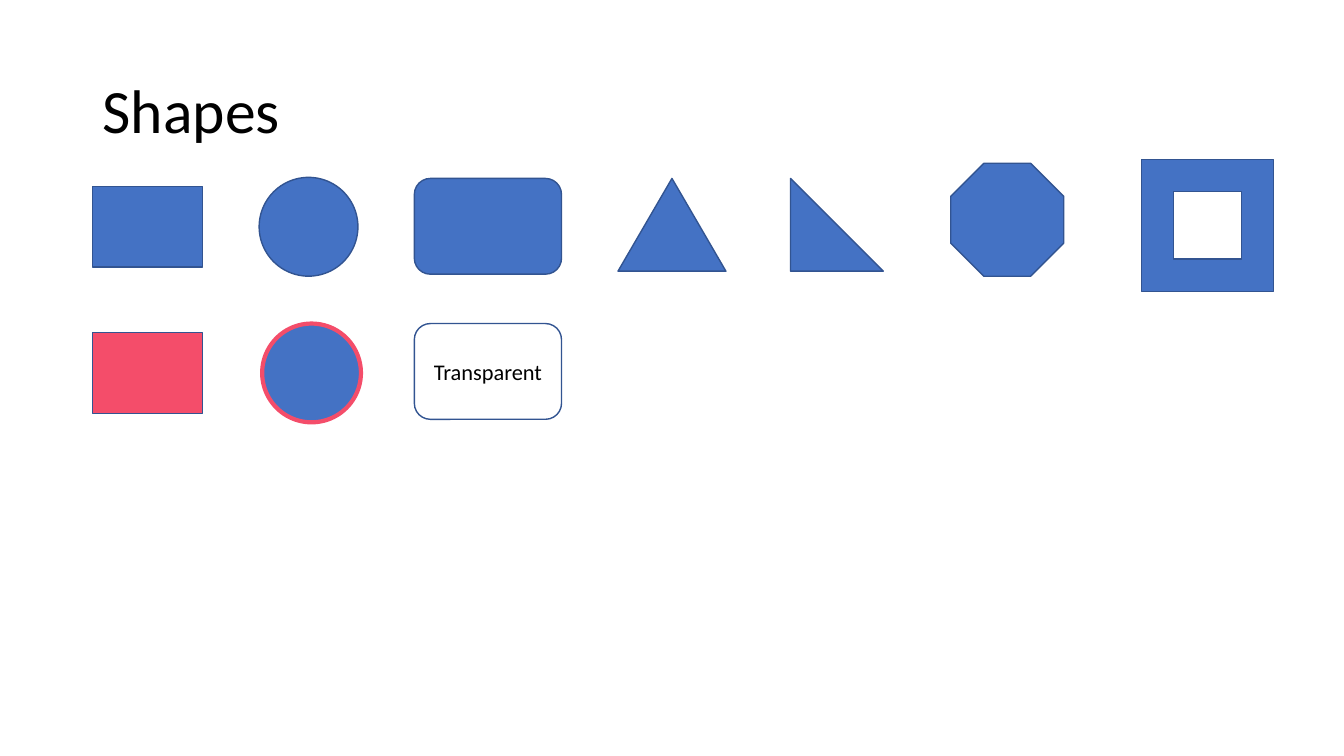
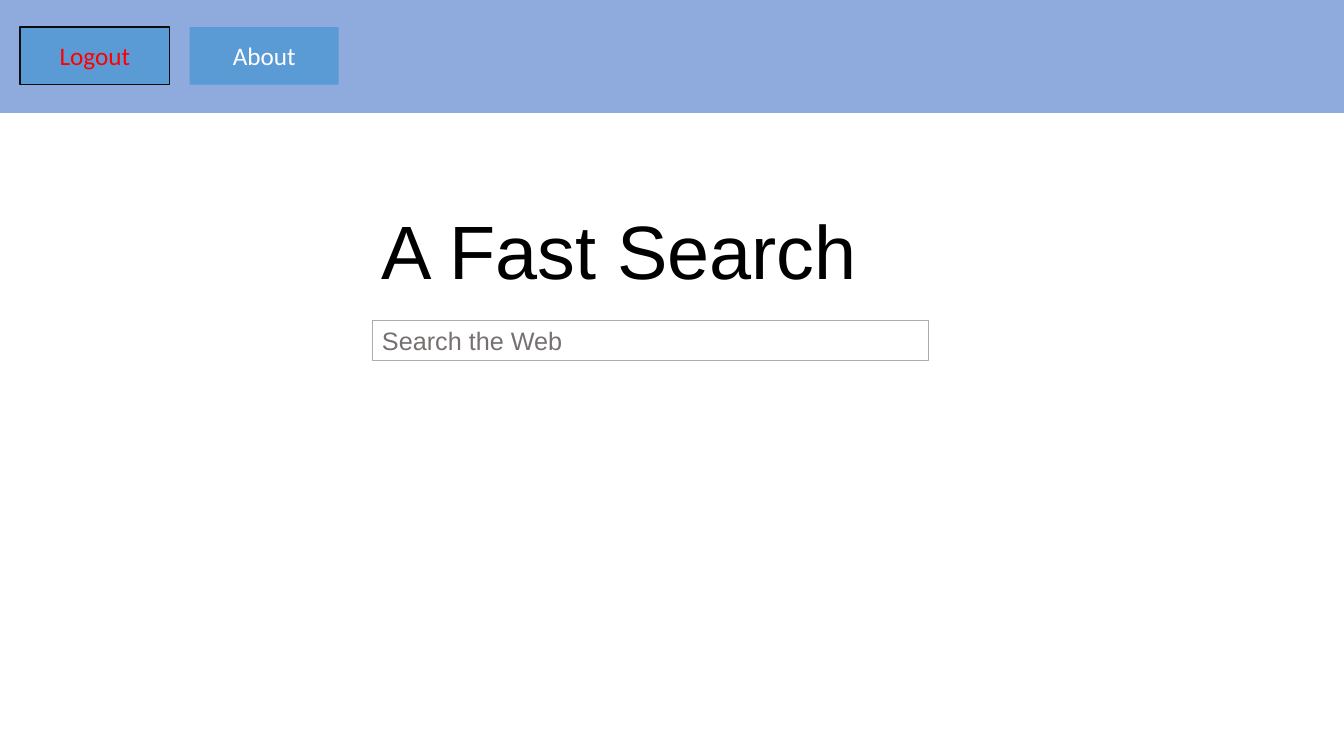
from dataclasses import dataclass

from pptx import Presentation
from pptx.dml.color import RGBColor
from pptx.enum.shapes import MSO_SHAPE
from pptx.enum.text import MSO_ANCHOR, PP_ALIGN
from pptx.util import Inches, Pt


@dataclass(frozen=True)
class Theme:
    blue: str = "4472C4"
    outline: str = "325491"
    accent: str = "F44D6A"
    band: str = "8FAADC"
    button: str = "5B9BD5"
    button_edge: str = "0D0D0D"
    field_edge: str = "AFABAB"
    hint: str = "767171"
    black: str = "000000"
    white: str = "FFFFFF"
    red: str = "FF0000"
    body_font: str = "Calibri"
    search_font: str = "Arial"
    title_size: int = 44
    headline_size: int = 54
    control_size: int = 18
    label_size: int = 16


THEME = Theme()
SLIDE_WIDTH, SLIDE_HEIGHT = 13.33, 7.5


def write(holder, text, size, color, font=THEME.body_font,
          align=PP_ALIGN.LEFT, anchor=MSO_ANCHOR.MIDDLE, spacing=None):
    frame = holder.text_frame
    frame.word_wrap = True
    frame.vertical_anchor = anchor
    frame.text = text
    paragraph = frame.paragraphs[0]
    paragraph.alignment = align
    paragraph.line_spacing = spacing
    run_font = paragraph.runs[0].font
    run_font.name = font
    run_font.size = Pt(size)
    run_font.color.rgb = RGBColor.from_string(color)


def add_text(slide, box, text, size, **style):
    holder = slide.shapes.add_textbox(*map(Inches, box))
    write(holder, text, size, THEME.black, **style)


def add_figure(slide, kind, box, fill=None, line=None, width=1):
    figure = slide.shapes.add_shape(kind, *map(Inches, box))
    figure.shadow.inherit = False
    if fill:
        figure.fill.solid()
        figure.fill.fore_color.rgb = RGBColor.from_string(fill)
    else:
        figure.fill.background()
    if line:
        figure.line.color.rgb = RGBColor.from_string(line)
        figure.line.width = Pt(width)
    else:
        figure.line.fill.background()
    return figure


def add_button(slide, column, text, color, line=None):
    width, gap = 1.48, 0.2
    left = gap + column * (width + gap)
    button = add_figure(slide, MSO_SHAPE.RECTANGLE, (left, 0.27, width, 0.57),
                        THEME.button, line)
    write(button, text, THEME.control_size, color, align=PP_ALIGN.CENTER)


def build_shapes_slide(slide):
    add_text(slide, (0.92, 0.4, 11.5, 1.45), "Shapes", THEME.title_size, spacing=0.9)

    gallery = [
        (MSO_SHAPE.RECTANGLE, (0.92, 1.85, 1.09, 0.8)),
        (MSO_SHAPE.OVAL, (2.57, 1.76, 0.98, 0.98)),
        (MSO_SHAPE.ROUNDED_RECTANGLE, (4.11, 1.77, 1.46, 0.95)),
        (MSO_SHAPE.ISOSCELES_TRIANGLE, (6.13, 1.77, 1.07, 0.92)),
        (MSO_SHAPE.RIGHT_TRIANGLE, (7.84, 1.77, 0.92, 0.92)),
        (MSO_SHAPE.OCTAGON, (9.43, 1.62, 1.12, 1.12)),
        (MSO_SHAPE.FRAME, (11.32, 1.58, 1.31, 1.31)),
    ]
    for kind, box in gallery:
        figure = add_figure(slide, kind, box, THEME.blue, THEME.outline)
        if kind == MSO_SHAPE.FRAME:
            figure.adjustments[0] = 0.243

    add_figure(slide, MSO_SHAPE.RECTANGLE, (0.92, 3.3, 1.09, 0.8),
               THEME.accent, THEME.outline)
    add_figure(slide, MSO_SHAPE.OVAL, (2.6, 3.21, 0.98, 0.98),
               THEME.blue, THEME.accent, 3)
    transparent = add_figure(slide, MSO_SHAPE.ROUNDED_RECTANGLE,
                             (4.11, 3.21, 1.46, 0.95), line=THEME.outline)
    write(transparent, "Transparent", THEME.label_size, THEME.black,
          align=PP_ALIGN.CENTER)


def build_search_slide(slide):
    left, width = 3.69, 5.52
    add_figure(slide, MSO_SHAPE.RECTANGLE, (0, 0, SLIDE_WIDTH, 1.12), THEME.band)
    search_field = add_figure(slide, MSO_SHAPE.RECTANGLE, (left, 3.18, width, 0.4),
                              line=THEME.field_edge, width=0.75)
    write(search_field, "Search the Web", THEME.control_size, THEME.hint,
          font=THEME.search_font, anchor=MSO_ANCHOR.TOP)
    add_text(slide, (left, 1.91, width, 1.12), "A Fast Search",
             THEME.headline_size, font=THEME.search_font)
    add_button(slide, 0, "Logout", THEME.red, THEME.button_edge)
    add_button(slide, 1, "About", THEME.white)


def main():
    deck = Presentation()
    deck.slide_width = Inches(SLIDE_WIDTH)
    deck.slide_height = Inches(SLIDE_HEIGHT)
    blank = deck.slide_layouts[6]
    for build in (build_shapes_slide, build_search_slide):
        build(deck.slides.add_slide(blank))
    deck.save("out.pptx")


if __name__ == "__main__":
    main()
